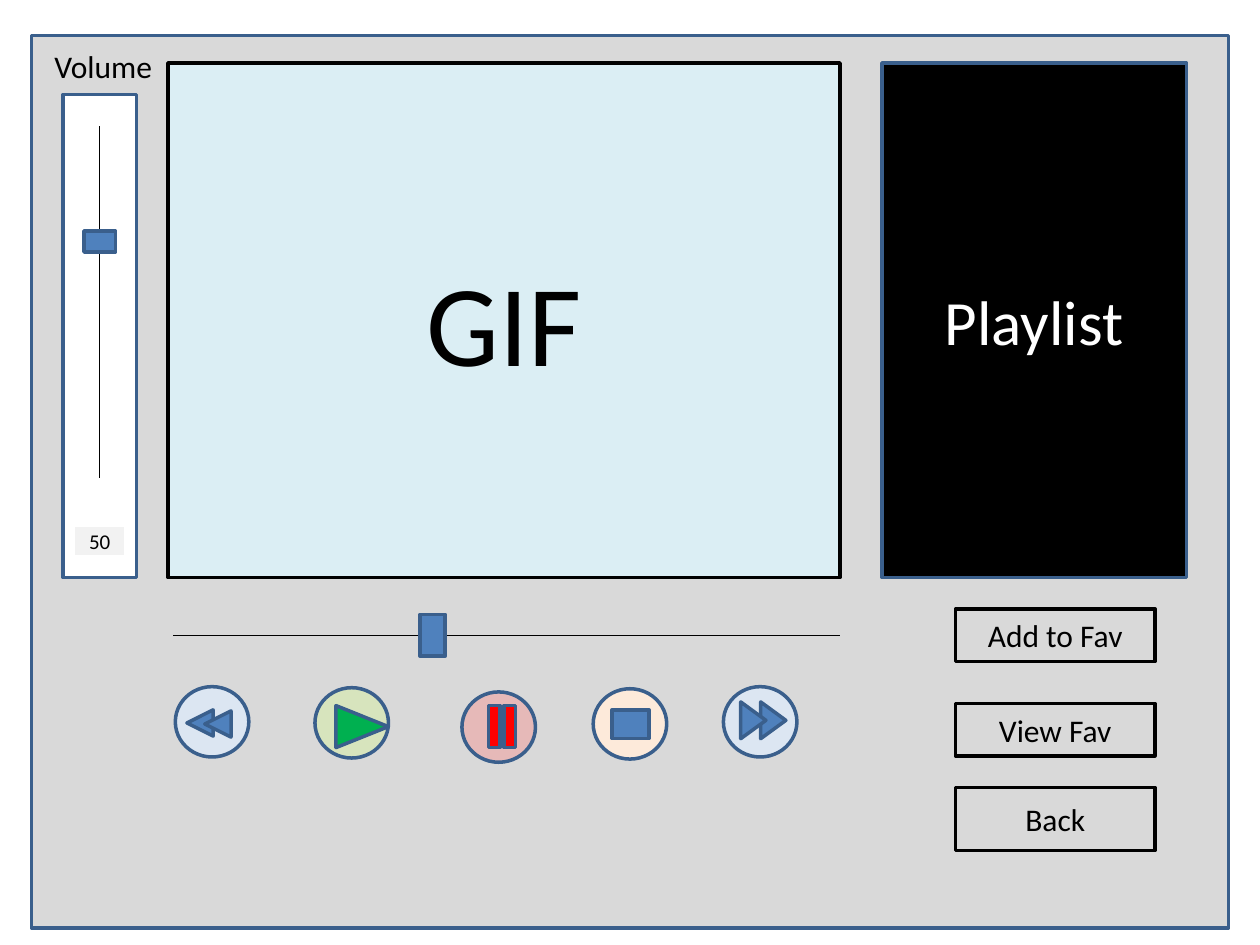
from lxml import etree
from pptx import Presentation
from pptx.dml.color import RGBColor
from pptx.enum.shapes import MSO_CONNECTOR, MSO_SHAPE
from pptx.enum.text import MSO_ANCHOR, MSO_AUTO_SIZE, PP_ALIGN
from pptx.oxml.ns import qn
from pptx.util import Inches, Pt

RECTANGLE = MSO_SHAPE.RECTANGLE
OVAL = MSO_SHAPE.OVAL
PROCESS = MSO_SHAPE.FLOWCHART_PROCESS
EXTRACT = MSO_SHAPE.FLOWCHART_EXTRACT
MERGE = MSO_SHAPE.FLOWCHART_MERGE
STRAIGHT = MSO_CONNECTOR.STRAIGHT
CENTER, LEFT = PP_ALIGN.CENTER, PP_ALIGN.LEFT
MIDDLE, TOP = MSO_ANCHOR.MIDDLE, MSO_ANCHOR.TOP
FIT_SHAPE = MSO_AUTO_SIZE.SHAPE_TO_FIT_TEXT

THEME = {
    "font": "Calibri",
    "sizes": {"screen": 66, "heading": 36, "label": 18, "value": 12},
    "widths": {"outline": 2, "track": 0.75},
    "colors": {
        "black": "000000", "white": "FFFFFF", "panel": "D9D9D9",
        "outline": "3A5F8C", "accent": "4F81BD", "screen": "DBEEF4",
        "value": "F2F2F2", "skip": "DCE6F2", "play": "D7E4BD",
        "pause": "E6B9B8", "stop": "FDEADA", "green": "00B050", "red": "FF0000",
    },
}

SLIDE_WIDTH, SLIDE_HEIGHT = Inches(10), Inches(7.5)
COLUMNS, ROWS = 120, 90

PANELS = [
    {"box": (3, 3.4, 114, 85), "fill": "panel"},
    {"box": (84, 6, 29, 49), "fill": "black",
     "text": "Playlist", "size": "heading", "color": "white"},
    {"box": (16, 6, 64, 49), "fill": "screen", "line": "black",
     "text": "GIF", "size": "screen"},
    {"box": (6, 9, 7, 46), "fill": "white"},
]
BUTTON_LEFT, BUTTON_WIDTH = 91, 19
BUTTONS = [
    ("Add to Fav", 58, 5, RECTANGLE),
    ("View Fav", 67, 5, RECTANGLE),
    ("Back", 75, 6, PROCESS),
]
SLIDERS = [
    {"track": (9.5, 12, 9.5, 45.5), "knob": (8, 22, 3, 2)},
    {"track": (16.5, 60.5, 80, 60.5), "knob": (40, 58.5, 2.4, 4)},
]
VOLUME_LABEL = ("Volume", (4, 3.85, 18, 4.8))
VOLUME_VALUE = ("50", (7, 50, 5, 3))

CIRCLE_SIZE = (7, 6.7)
CONTROLS = [
    {"at": (16.7, 65.4), "fill": "skip", "icon": EXTRACT, "turn": 270,
     "color": "accent", "size": (2.5, 2.5), "offsets": [(1.1, 2.2), (2.8, 2.3)]},
    {"at": (30, 65.5), "fill": "play", "icon": MERGE, "turn": 270,
     "color": "green", "size": (4, 5), "offsets": [(2.5, 1.2)]},
    {"at": (44, 65.9), "fill": "pause", "icon": PROCESS, "turn": 0,
     "color": "red", "size": (1.1, 4), "offsets": [(2.5, 1.3), (4, 1.3)]},
    {"at": (56.5, 65.6), "fill": "stop", "icon": PROCESS, "turn": 0,
     "color": "accent", "size": (3.5, 2.75), "offsets": [(1.8, 2)]},
    {"at": (68.9, 65.4), "fill": "skip", "icon": MERGE, "turn": 270,
     "color": "accent", "size": (3.5, 2.4), "offsets": [(3, 2), (1.1, 2)]},
]


def color_of(name):
    return RGBColor.from_string(THEME["colors"][name])


def place(box):
    return [round(value * extent / cells) for value, extent, cells in zip(
        box, (SLIDE_WIDTH, SLIDE_HEIGHT) * 2, (COLUMNS, ROWS) * 2)]


def write_text(shape, text, size="label", color="black", align=CENTER, anchor=MIDDLE):
    frame = shape.text_frame
    frame.word_wrap = True
    frame.vertical_anchor = anchor
    paragraph = frame.paragraphs[0]
    paragraph.alignment = align
    run = paragraph.add_run()
    run.text = text
    run.font.name = THEME["font"]
    run.font.size = Pt(THEME["sizes"][size])
    run.font.color.rgb = color_of(color)


def add_box(slide, box, fill, line="outline", kind=RECTANGLE, turn=0,
            text=None, **text_format):
    shape = slide.shapes.add_shape(kind, *place(box))
    shape.shadow.inherit = False
    shape.rotation = turn
    shape.fill.solid()
    shape.fill.fore_color.rgb = color_of(fill)
    shape.line.color.rgb = color_of(line)
    shape.line.width = Pt(THEME["widths"]["outline"])
    if text:
        write_text(shape, text, **text_format)


def add_slider(slide, track, knob):
    connector = slide.shapes.add_connector(STRAIGHT, *place(track))
    connector.line.color.rgb = color_of("black")
    connector.line.width = Pt(THEME["widths"]["track"])
    etree.SubElement(connector._element.spPr, qn("a:effectLst"))
    add_box(slide, knob, "accent")


def add_control(slide, control):
    left, top = control["at"]
    add_box(slide, (left, top, *CIRCLE_SIZE), control["fill"], kind=OVAL)
    for across, down in control["offsets"]:
        add_box(slide, (left + across, top + down, *control["size"]),
                control["color"], kind=control["icon"], turn=control["turn"])


def main():
    presentation = Presentation()
    presentation.slide_width, presentation.slide_height = SLIDE_WIDTH, SLIDE_HEIGHT
    slide = presentation.slides.add_slide(presentation.slide_layouts[6])

    for panel in PANELS:
        add_box(slide, **panel)
    for text, top, height, kind in BUTTONS:
        add_box(slide, (BUTTON_LEFT, top, BUTTON_WIDTH, height), "panel",
                line="black", kind=kind, text=text)
    for slider in SLIDERS:
        add_slider(slide, **slider)

    label, box = VOLUME_LABEL
    text_box = slide.shapes.add_textbox(*place(box))
    write_text(text_box, label, align=LEFT, anchor=TOP)
    text_box.text_frame.auto_size = FIT_SHAPE

    for control in CONTROLS:
        add_control(slide, control)
    value, box = VOLUME_VALUE
    add_box(slide, box, "value", line="white", text=value, size="value")
    presentation.save("out.pptx")


if __name__ == "__main__":
    main()
